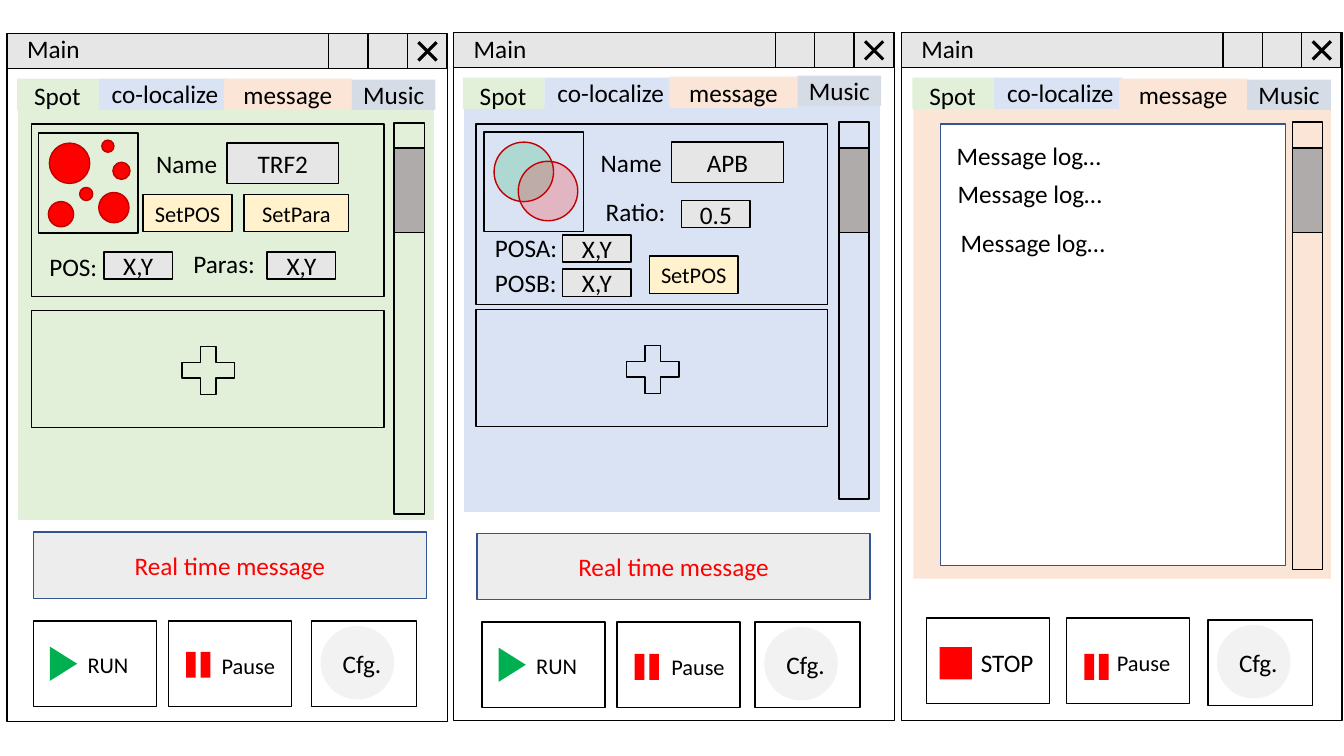
from lxml.etree import SubElement as Sub
from pptx import Presentation
from pptx.dml.color import RGBColor as RGB
from pptx.enum.shapes import MSO_CONNECTOR as Link, MSO_SHAPE as Kind
from pptx.enum.text import MSO_ANCHOR as Anchor, PP_ALIGN as Align
from pptx.oxml.ns import qn
from pptx.util import Inches, Pt

BLACK = RGB(0, 0, 0)
WHITE = RGB(255, 255, 255)
RED = RGB(255, 0, 0)
DARK_RED = RGB(0xC0, 0, 0)
GREEN = RGB(0, 0xB0, 0x50)
NAVY = RGB(0x32, 0x54, 0x91)
GREY = RGB(0xE7, 0xE6, 0xE6)
PALE = RGB(0xED, 0xED, 0xED)
DISC = RGB(0xF2, 0xF2, 0xF2)
THUMB = RGB(0xAF, 0xAB, 0xAB)
MINT = RGB(0xE2, 0xF0, 0xD9)
SKY = RGB(0xDA, 0xE3, 0xF3)
PEACH = RGB(0xFB, 0xE5, 0xD6)
STEEL = RGB(0xD6, 0xDC, 0xE5)
CREAM = RGB(0xFF, 0xF2, 0xCC)


# Basic elements
def write(frame, text, size, color, align):
    frame.text = text
    para = frame.paragraphs[0]
    para.alignment = align
    font = para.runs[0].font
    font.name, font.size = "Calibri", Pt(size)
    font.color.rgb = color


def shape(slide, x, y, w, h, fill=None, line=None, kind=Kind.RECTANGLE, turn=0):
    item = slide.shapes.add_shape(kind, Inches(x), Inches(y), Inches(w), Inches(h))
    item.shadow.inherit = False
    item.rotation = turn
    if fill is None:
        item.fill.background()
    else:
        item.fill.solid()
        item.fill.fore_color.rgb = fill
    if line is None:
        item.line.fill.background()
    else:
        item.line.color.rgb = line
        item.line.width = Pt(1)
    return item


def box(slide, text, x, y, w, h, fill, line=BLACK, size=18, color=BLACK):
    frame = shape(slide, x, y, w, h, fill, line).text_frame
    frame.vertical_anchor = Anchor.MIDDLE
    write(frame, text, size, color, Align.CENTER)


def label(slide, text, x, y, w, size=18):
    item = slide.shapes.add_textbox(Inches(x), Inches(y), Inches(w), Inches(0.4))
    item.text_frame.word_wrap = False
    write(item.text_frame, text, size, BLACK, Align.LEFT)


def stroke(slide, x1, y1, x2, y2):
    line = slide.shapes.add_connector(
        Link.STRAIGHT, Inches(x1), Inches(y1), Inches(x2), Inches(y2))
    line.line.color.rgb = BLACK
    line.line.width = Pt(2.25)
    Sub(line._element.spPr, qn("a:effectLst"))


def circle(slide, x, y, size, fill, line=None, alpha=None):
    item = shape(slide, x, y, size, size, fill, line, Kind.OVAL)
    if alpha:
        tint = item._element.spPr.find(qn("a:solidFill"))[0]
        Sub(tint, qn("a:alpha")).set("val", str(alpha * 1000))


# Window parts
def window(slide, x, y):
    shape(slide, x, y, 4.37, 6.83, line=BLACK)
    shape(slide, x, y, 4.37, 0.35, GREY, BLACK)
    for i in range(3):
        shape(slide, x + 3.19 + i * 0.39, y, 0.39, 0.35, line=BLACK)
    left, right, top, low = x + 4.08, x + 4.26, y + 0.09, y + 0.27
    stroke(slide, left, top, right, low)
    stroke(slide, left, low, right, top)
    label(slide, "Main", x + 0.1, 0.28, 0.73)


def tabs(slide, x, y, note_y, music_y):
    shape(slide, x, y, 0.81, 0.31, MINT)
    shape(slide, x + 0.81, y, 1.27, 0.31, SKY)
    label(slide, "co-localize", x + 0.84, y - 0.05, 1.27)
    label(slide, "Spot", x + 0.07, 0.75, 0.67)
    box(slide, "message", x + 2.05, note_y, 1.27, 0.31, PEACH, None)
    box(slide, "Music", x + 3.32, music_y, 0.83, 0.3, STEEL, None)


def scroll(slide, x, y, h):
    shape(slide, x, y, 0.3, h, line=BLACK)
    shape(slide, x, 1.47, 0.3, 0.84, THUMB, BLACK)


def add_card(slide, x, y, w):
    shape(slide, x, y, w, 1.16, line=BLACK)
    shape(slide, x + 1.4, y + 0.27, 0.71, 0.65, line=BLACK, kind=Kind.MATH_PLUS)


def named(slide, text, x, y):
    label(slide, "Name", x, y, 0.81)
    box(slide, text, x + 0.8, y, 1.11, 0.4, GREY)


def value(slide, text, x, y):
    box(slide, text, x, y, 0.68, 0.27, GREY)


def action(slide, text, x, y, w):
    box(slide, text, x, y, w, 0.37, CREAM, size=16)


def status(slide, x, y):
    box(slide, "Real time message", x, y, 3.9, 0.66, PALE, NAVY, color=RED)


# Bottom buttons
def run(slide, x, y):
    shape(slide, x, y, 1.22, 0.85, line=BLACK)
    shape(slide, x + 0.13, y + 0.29, 0.34, 0.27, GREEN,
          kind=Kind.ISOSCELES_TRIANGLE, turn=90)
    label(slide, "RUN", x + 0.44, y + 0.25, 0.69, 16)


def stop(slide, x, y):
    shape(slide, x, y, 1.22, 0.85, line=BLACK)
    shape(slide, x + 0.13, y + 0.29, 0.32, 0.32, RED)
    label(slide, "STOP", x + 0.44, y + 0.24, 0.73)


def pause(slide, x, y, icon_y, text_x):
    shape(slide, x, y, 1.22, 0.85, line=BLACK)
    shape(slide, x + 0.12, icon_y, 0.35, 0.41, RED, kind=Kind.MATH_EQUAL, turn=90)
    label(slide, "Pause", text_x, y + 0.26, 0.74, 16)


def config(slide, x, y):
    shape(slide, x, y, 1.04, 0.85, line=BLACK)
    circle(slide, x + 0.09, y + 0.05, 0.73, DISC)
    label(slide, "Cfg.", x + 0.21, y + 0.22, 0.59)


# The three windows
def spot_view(slide):
    shape(slide, 0.17, 1.05, 4.14, 4.12, MINT, WHITE)
    window(slide, 0.07, 0.33)
    shape(slide, 0.31, 1.23, 3.5, 1.71, line=BLACK)
    add_card(slide, 0.31, 3.08, 3.5)
    scroll(slide, 3.91, 1.22, 3.88)
    shape(slide, 0.38, 1.32, 0.99, 0.99, line=BLACK)
    for x, y, size in ((0.49, 1.42, 0.4), (0.48, 2, 0.25), (0.98, 1.91, 0.3),
                       (0.79, 1.86, 0.13), (1.01, 1.39, 0.12), (1.12, 1.61, 0.17)):
        circle(slide, x, y, size, RED, DARK_RED)
    named(slide, "TRF2", 1.45, 1.42)
    action(slide, "SetPOS", 1.42, 1.93, 0.88)
    action(slide, "SetPara", 2.42, 1.93, 1.04)
    label(slide, "POS:", 0.39, 2.44, 0.68)
    value(slide, "X,Y", 1.03, 2.5)
    label(slide, "Paras:", 1.82, 2.41, 0.82)
    value(slide, "X,Y", 2.65, 2.5)
    tabs(slide, 0.17, 0.78, 0.78, 0.79)
    status(slide, 0.33, 5.28)
    run(slide, 0.33, 6.16)
    pause(slide, 1.67, 6.16, 6.39, 2.1)
    config(slide, 3.09, 6.16)


def pair_view(slide):
    shape(slide, 4.59, 1.04, 4.15, 4.05, SKY, WHITE)
    window(slide, 4.5, 0.32)
    shape(slide, 4.72, 1.23, 3.49, 1.79, line=BLACK)
    add_card(slide, 4.72, 3.07, 3.49)
    scroll(slide, 8.32, 1.21, 3.74)
    shape(slide, 4.8, 1.31, 0.99, 0.99, line=BLACK)
    circle(slide, 4.9, 1.41, 0.59, GREEN, DARK_RED, 20)
    circle(slide, 5.14, 1.6, 0.59, RED, DARK_RED, 20)
    named(slide, "APB", 5.86, 1.41)
    label(slide, "Ratio:", 5.91, 1.9, 0.8)
    value(slide, "0.5", 6.76, 1.99)
    for text, y in (("POSA:", 2.26), ("POSB:", 2.6)):
        label(slide, text, 4.81, y, 0.83)
        value(slide, "X,Y", 5.58, y + 0.07)
    action(slide, "SetPOS", 6.44, 2.54, 0.88)
    tabs(slide, 4.59, 0.77, 0.76, 0.75)
    status(slide, 4.73, 5.29)
    run(slide, 4.78, 6.17)
    pause(slide, 6.12, 6.17, 6.41, 6.56)
    config(slide, 7.49, 6.17)


def log_view(slide):
    shape(slide, 9.06, 1.06, 4.14, 4.68, PEACH)
    window(slide, 8.94, 0.32)
    scroll(slide, 12.82, 1.21, 4.44)
    tabs(slide, 9.05, 0.77, 0.78, 0.79)
    shape(slide, 9.33, 1.23, 3.42, 4.38, WHITE, NAVY)
    for x, y in ((9.39, 1.34), (9.4, 1.72), (9.43, 2.21)):
        label(slide, "Message log…", x, y, 1.66)
    stop(slide, 9.19, 6.13)
    pause(slide, 10.58, 6.13, 6.41, 10.98)
    config(slide, 11.98, 6.15)


def main():
    deck = Presentation()
    deck.slide_width, deck.slide_height = Inches(13.33), Inches(7.5)
    slide = deck.slides.add_slide(deck.slide_layouts[6])
    spot_view(slide)
    pair_view(slide)
    log_view(slide)
    deck.save("out.pptx")


main()
